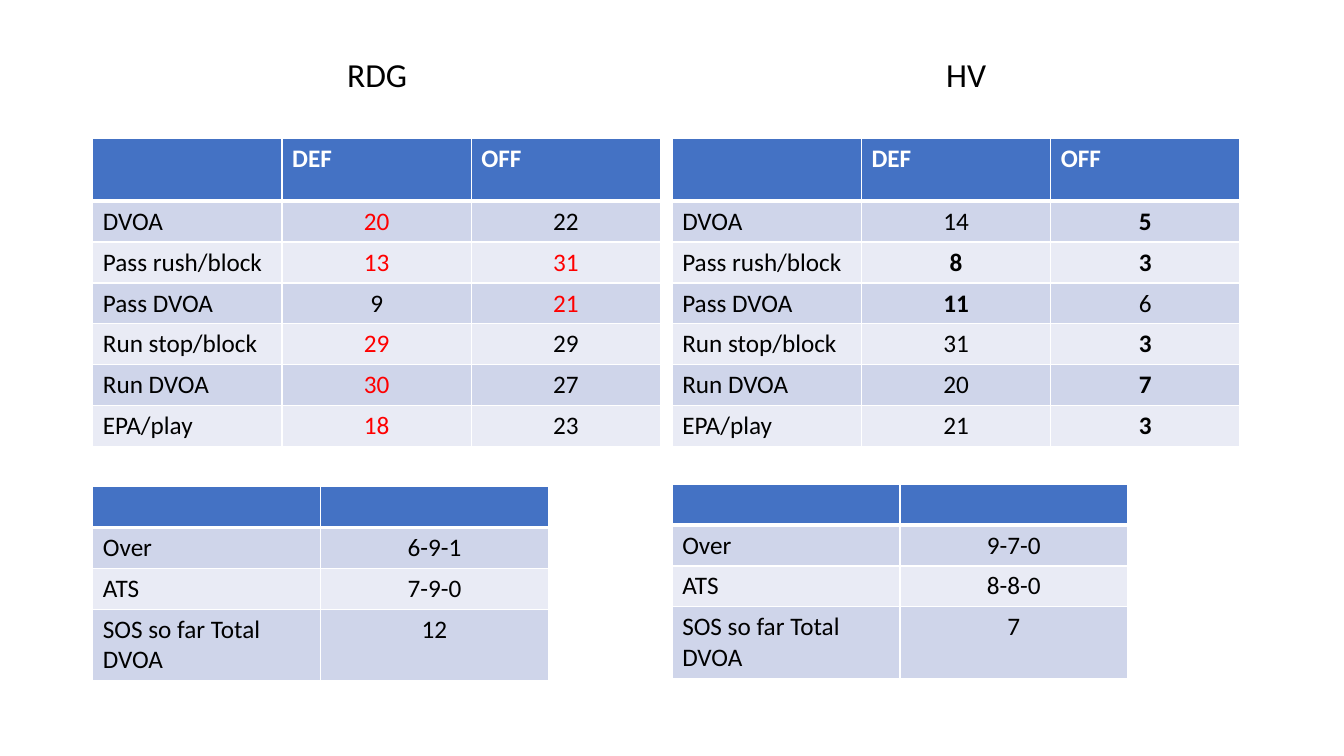
from lxml import etree
from pptx import Presentation
from pptx.dml.color import RGBColor
from pptx.enum.text import MSO_ANCHOR, PP_ALIGN
from pptx.oxml.ns import qn
from pptx.util import Cm, Pt

FONT = "Calibri"
BLACK, WHITE, RED = "000000", "FFFFFF", "FF0000"
HEADER_FILL, ODD_FILL, EVEN_FILL = "4472C4", "CFD5EA", "E9EBF5"
TABLE_TOP, ROW_HEIGHT = 3.48, 1.03
RATING_HEIGHTS = [1.59] + [ROW_HEIGHT] * 6
RECORD_HEIGHTS = [ROW_HEIGHT] * 3 + [1.8]
RATING_LABELS = ["DVOA", "Pass rush/block", "Pass DVOA",
                 "Run stop/block", "Run DVOA", "EPA/play"]
RECORD_LABELS = ["Over", "ATS", "SOS so far Total DVOA"]
WEAK, STRONG = "!", "*"

TEAMS = [
    {"name": "RDG", "placeholder": 1, "heading": (2.34, 14.33),
     "left": 2.34, "record_top": 12.26,
     "def": ["20!", "13!", "9", "29!", "30!", "18!"],
     "off": ["22", "31!", "21!", "29", "27", "23"],
     "record": ["6-9-1", "7-9-0", "12"]},
    {"name": "HV", "placeholder": 3, "heading": (17.15, 14.4),
     "left": 16.94, "record_top": 12.2,
     "def": ["14", "8*", "11*", "31", "20", "21"],
     "off": ["5*", "3*", "6", "3*", "7*", "3*"],
     "record": ["9-7-0", "8-8-0", "7"]},
]


def color(hex_value):
    """Turn a hex string into a colour."""
    return RGBColor.from_string(hex_value)


def write(frame, text, size, text_color, bold=False, align=PP_ALIGN.LEFT):
    """Put one formatted run into a text frame and return its paragraph."""
    paragraph = frame.paragraphs[0]
    paragraph.alignment = align
    run = paragraph.add_run()
    run.text = text
    run.font.name, run.font.size, run.font.bold = FONT, Pt(size), bold
    run.font.color.rgb = color(text_color)
    return paragraph


def add_heading(slide, team):
    """Place and fill the heading above a team's tables."""
    heading = slide.placeholders[team["placeholder"]]
    left, width = team["heading"]
    heading.left, heading.top = Cm(left), Cm(0.23)
    heading.width, heading.height = Cm(width), Cm(2.29)
    heading.text_frame.vertical_anchor = MSO_ANCHOR.BOTTOM
    paragraph = write(heading.text_frame, team["name"], 24, BLACK,
                      align=PP_ALIGN.CENTER)
    paragraph.line_spacing, paragraph.space_before = 0.9, Pt(10)


def set_borders(cell, bottom):
    """Draw white cell borders with the given bottom width."""
    properties = cell._tc.get_or_add_tcPr()
    for side, width in (("L", 1), ("R", 1), ("T", 1), ("B", bottom)):
        line = etree.SubElement(properties, qn(f"a:ln{side}"), w=str(Pt(width)))
        fill = etree.SubElement(line, qn("a:solidFill"))
        etree.SubElement(fill, qn("a:srgbClr"), val=WHITE)


def format_cell(cell, text, row, column):
    """Style a cell by its position and its weak or strong mark."""
    header = row == 0
    set_borders(cell, 3 if header else 1)
    cell.fill.solid()
    band = ODD_FILL if row % 2 else EVEN_FILL
    cell.fill.fore_color.rgb = color(HEADER_FILL if header else band)
    if not text:
        return
    text_color = WHITE if header else RED if text.endswith(WEAK) else BLACK
    centred = not header and column > 0
    write(cell.text_frame, text.rstrip(WEAK + STRONG), 18, text_color,
          bold=header or text.endswith(STRONG),
          align=PP_ALIGN.CENTER if centred else PP_ALIGN.LEFT)


def add_table(slide, left, top, column_width, heights, rows):
    """Add a banded table with equal columns."""
    count = len(rows[0])
    table = slide.shapes.add_table(
        len(rows), count, Cm(left), Cm(top),
        Cm(column_width * count), Cm(sum(heights))).table
    for column in table.columns:
        column.width = Cm(column_width)
    for r, (height, values) in enumerate(zip(heights, rows)):
        table.rows[r].height = Cm(height)
        for c, text in enumerate(values):
            format_cell(table.cell(r, c), text, r, c)


def main():
    """Build the team comparison slide."""
    deck = Presentation()
    deck.slide_width, deck.slide_height = Cm(33.87), Cm(19.05)
    slide = deck.slides.add_slide(deck.slide_layouts.get_by_name("Comparison"))
    for team in TEAMS:
        add_heading(slide, team)
        ratings = [("", "DEF", "OFF"),
                   *zip(RATING_LABELS, team["def"], team["off"])]
        add_table(slide, team["left"], TABLE_TOP, 4.77, RATING_HEIGHTS, ratings)
        records = [("", ""), *zip(RECORD_LABELS, team["record"])]
        add_table(slide, team["left"], team["record_top"], 5.74,
                  RECORD_HEIGHTS, records)
    for placeholder in list(slide.placeholders):
        if not (placeholder.has_text_frame and placeholder.text_frame.text):
            placeholder.element.getparent().remove(placeholder.element)
    deck.save("out.pptx")


main()
